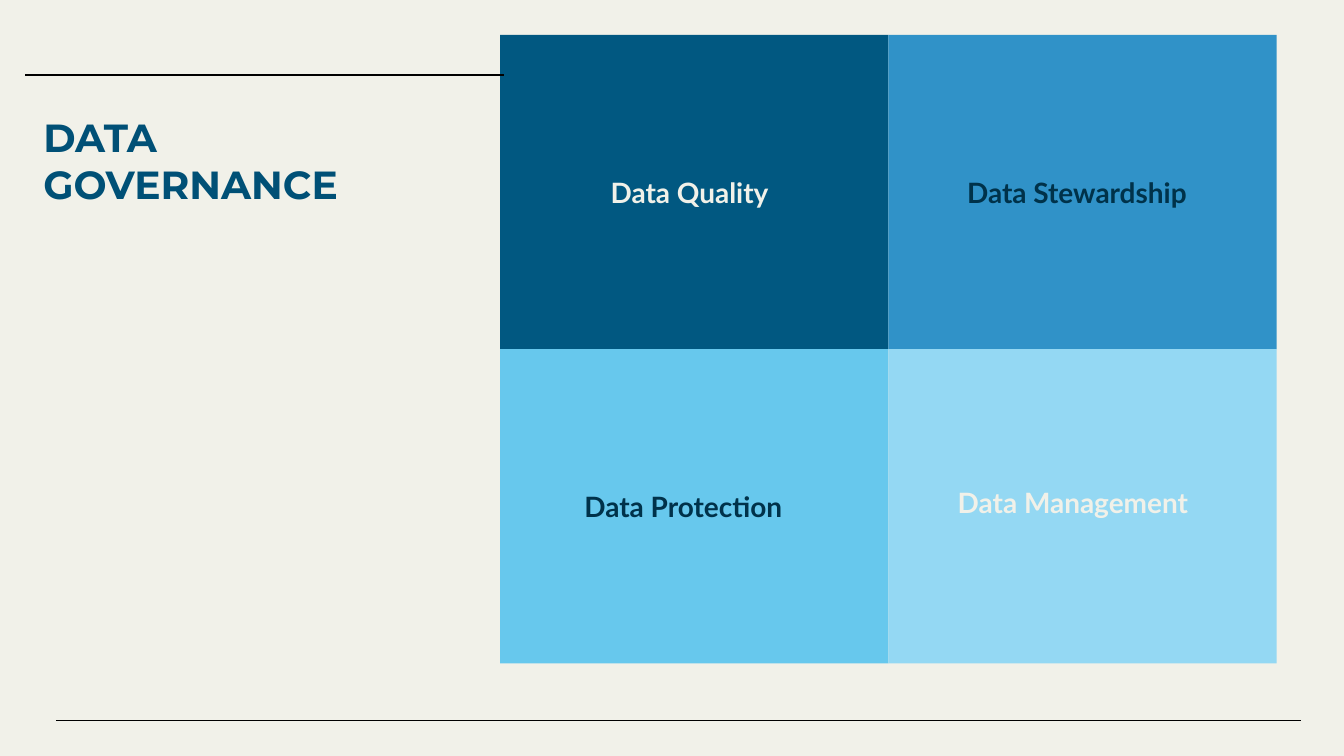
from pptx import Presentation
from pptx.dml.color import RGBColor
from pptx.enum.shapes import MSO_CONNECTOR, MSO_SHAPE
from pptx.enum.text import MSO_ANCHOR, MSO_AUTO_SIZE, PP_ALIGN
from pptx.oxml.ns import qn
from pptx.util import Pt
from lxml import etree

CREAM = RGBColor(0xF1, 0xF1, 0xE9)
TITLE_BLUE = RGBColor(0x00, 0x50, 0x76)
DEEP_BLUE = RGBColor(0x01, 0x58, 0x81)
MID_BLUE = RGBColor(0x30, 0x92, 0xC8)
SKY_BLUE = RGBColor(0x67, 0xC8, 0xED)
PALE_BLUE = RGBColor(0x94, 0xD8, 0xF3)
NAVY = RGBColor(0x00, 0x32, 0x4A)
BLACK = RGBColor(0, 0, 0)

# Label, fill, text colour, alignment, label box (offset in cell, size)
QUADRANTS = [
    ("Data Quality", DEEP_BLUE, CREAM, PP_ALIGN.CENTER, (28, 68, 147, 32)),
    ("Data Stewardship", MID_BLUE, NAVY, PP_ALIGN.CENTER, (27.5, 68, 147, 32)),
    ("Data Protection", SKY_BLUE, NAVY, PP_ALIGN.LEFT, (38, 68, 134.5, 32)),
    ("Data Management", PALE_BLUE, CREAM, PP_ALIGN.LEFT, (30, 66, 147, 35)),
]


def write_text(box, text, *, font, size, color, align=PP_ALIGN.LEFT):
    frame = box.text_frame
    frame.word_wrap = True
    frame.auto_size = MSO_AUTO_SIZE.NONE
    frame.vertical_anchor = MSO_ANCHOR.TOP
    frame.margin_left = frame.margin_right = Pt(7.2)
    frame.margin_top = frame.margin_bottom = Pt(7.2)
    para = frame.paragraphs[0]
    para.alignment = align
    para.line_spacing = 1.0
    para.space_before = Pt(0)
    span = para.add_run()
    span.text = text
    span.font.name = font
    span.font.size = Pt(size)
    span.font.bold = True
    span.font.color.rgb = color


def add_panel(page, left, top, width, height, color):
    panel = page.shapes.add_shape(
        MSO_SHAPE.RECTANGLE, Pt(left), Pt(top), Pt(width), Pt(height))
    panel.shadow.inherit = False
    panel.fill.solid()
    panel.fill.fore_color.rgb = color
    panel.line.fill.background()


def add_rule(page, left, right, y):
    rule = page.shapes.add_connector(
        MSO_CONNECTOR.STRAIGHT, Pt(left), Pt(y), Pt(right), Pt(y))
    rule.line.color.rgb = BLACK
    rule.line.width = Pt(0.75)
    etree.SubElement(rule._element.spPr, qn("a:effectLst"))


def add_title(page, left, top, width, height):
    title = page.shapes.title
    title.left, title.top = Pt(left), Pt(top)
    title.width, title.height = Pt(width), Pt(height)
    title.fill.solid()
    title.fill.fore_color.rgb = CREAM
    write_text(title, "DATA GOVERNANCE", font="Montserrat", size=21,
               color=TITLE_BLUE)


def add_quadrants(page, left, top, width, height):
    cell_width, cell_height = width / 2, height / 2
    for index, (label, fill, color, align, label_box) in enumerate(QUADRANTS):
        row, column = divmod(index, 2)
        x, y = left + column * cell_width, top + row * cell_height
        add_panel(page, x, y, cell_width, cell_height, fill)
        dx, dy, label_width, label_height = label_box
        box = page.shapes.add_textbox(
            Pt(x + dx), Pt(y + dy), Pt(label_width), Pt(label_height))
        write_text(box, label, font="Lato", size=15, color=color, align=align)


def main():
    deck = Presentation()
    deck.slide_width, deck.slide_height = Pt(720), Pt(405)
    page = deck.slides.add_slide(deck.slide_layouts[5])
    page.background.fill.solid()
    page.background.fill.fore_color.rgb = CREAM

    add_title(page, 16, 53.5, 224.5, 306.5)
    add_quadrants(page, 268, 18.75, 416, 336.75)

    # Bands with a thin rule, below and above
    add_panel(page, 16, 368.5, 684.5, 18, CREAM)
    add_rule(page, 30, 697, 386)
    add_panel(page, 13.5, 13.5, 224.5, 51, CREAM)
    add_rule(page, 13.5, 270, 40.25)

    deck.save("out.pptx")


if __name__ == "__main__":
    main()
